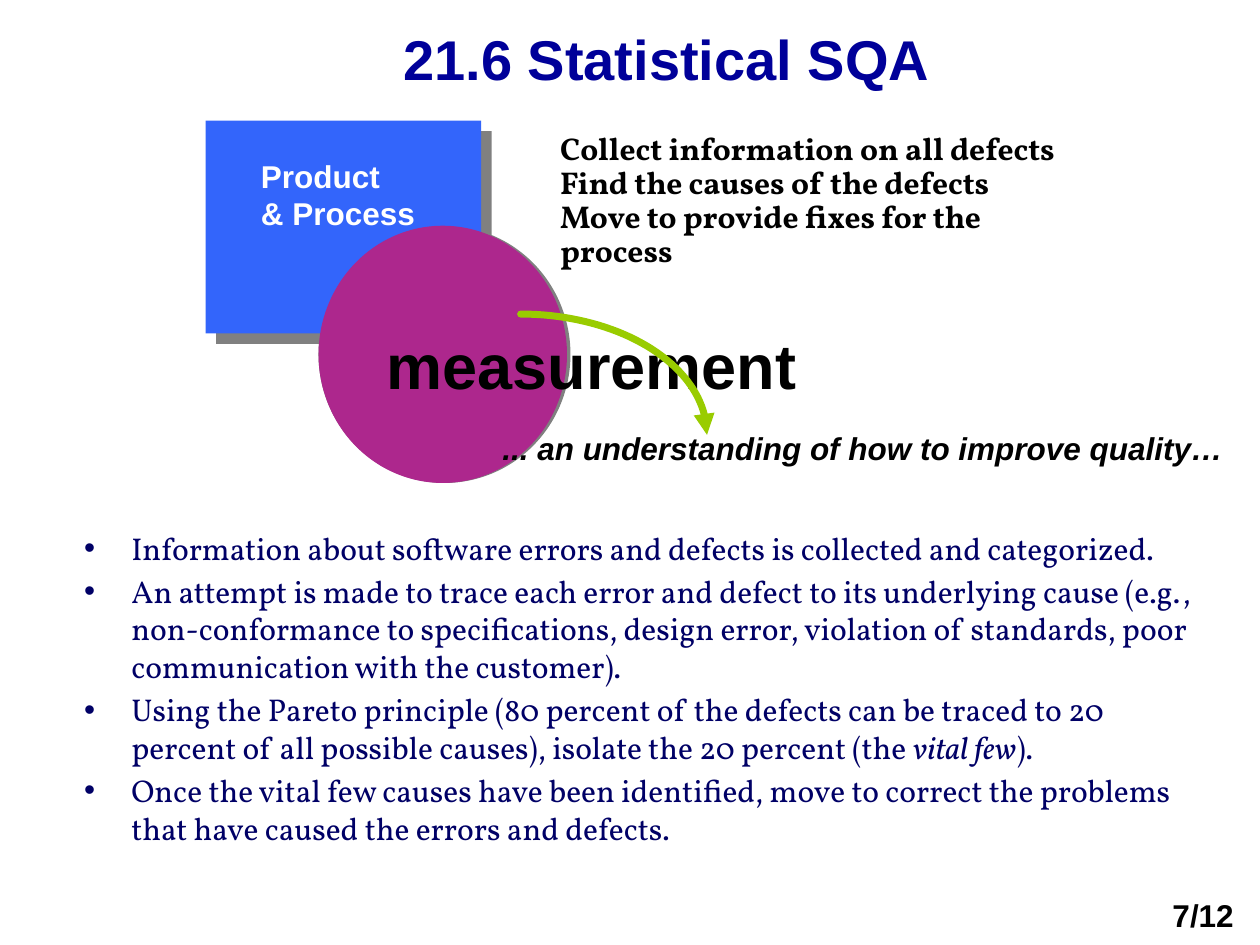
from math import cos, pi, sin

from lxml.etree import SubElement
from pptx import Presentation
from pptx.dml.color import RGBColor
from pptx.enum.shapes import MSO_SHAPE
from pptx.enum.text import MSO_ANCHOR, PP_ALIGN
from pptx.oxml.ns import qn
from pptx.util import Pt

WHITE = RGBColor(0xFF, 0xFF, 0xFF)
BLACK = RGBColor(0x00, 0x00, 0x00)
TITLE_BLUE = RGBColor(0x00, 0x00, 0x99)
BODY_NAVY = RGBColor(0x00, 0x00, 0x66)
BOX_BLUE = RGBColor(0x33, 0x65, 0xFB)
PURPLE = RGBColor(0xAD, 0x27, 0x8D)
GREEN = RGBColor(0x99, 0xCC, 0x00)
GREY = RGBColor(0x80, 0x80, 0x80)

SANS, SERIF = "Arial", "Vollkorn"

BULLETS = [
    ["Information about software errors and defects is collected and categorized."],
    ["An attempt is made to trace each error and defect to its underlying cause (e.g., "
     "non-conformance to specifications, design error, violation of standards, poor "
     "communication with the customer)."],
    ["Using the Pareto principle (80 percent of the defects can be traced to 20 percent "
     "of all possible causes), isolate the 20 percent (the ", "vital few", ")."],
    ["Once the vital few causes have been identified, move to correct the problems that "
     "have caused the errors and defects."],
]


def add_element(parent, tag, **attributes):
    return SubElement(parent, qn(tag), attributes)


class SlideBuilder:
    """Holds the text style and the current slide; lengths are in points."""

    font = {"name": SANS, "size": Pt(18), "bold": True, "italic": False}

    def __init__(self, presentation):
        self.slide = presentation.slides.add_slide(presentation.slide_layouts[5])

    def apply_font(self, paragraph, color, **changes):
        for name, value in {**self.font, **changes}.items():
            setattr(paragraph.font, name, value)
        paragraph.font.color.rgb = color

    def title(self, text, left, top, width, height):
        title = self.slide.shapes.title
        place = {"left": left, "top": top, "width": width, "height": height}
        for name, value in place.items():
            setattr(title, name, Pt(value))
        frame = title.text_frame
        frame.text = text
        margins = {"margin_left": 2, "margin_right": 2, "margin_top": 2, "margin_bottom": 2}
        for name, value in margins.items():
            setattr(frame, name, Pt(value))
        frame.vertical_anchor = MSO_ANCHOR.MIDDLE
        frame.paragraphs[0].alignment = PP_ALIGN.CENTER
        self.apply_font(frame.paragraphs[0], TITLE_BLUE, size=Pt(32))

    def shape(self, kind, left, top, width, height, color):
        shape = self.slide.shapes.add_shape(kind, Pt(left), Pt(top), Pt(width), Pt(height))
        shape.shadow.inherit = False
        shape.fill.solid()
        shape.fill.fore_color.rgb = color
        shape.line.fill.background()
        return shape

    def offset_shadow(self, shape, distance, color):
        effects = shape._element.spPr.find(qn("a:effectLst"))
        shadow = add_element(effects, "a:outerShdw", dist=str(Pt(distance)),
                             dir=str(45 * 60000), algn="ctr", rotWithShape="0")
        add_element(shadow, "a:srgbClr", val=str(color))

    def text(self, lines, left, top, width, height, color=BLACK, wrap=False,
             align=PP_ALIGN.LEFT, spacing=1.0, **font):
        box = self.slide.shapes.add_textbox(Pt(left), Pt(top), Pt(width), Pt(height))
        frame = box.text_frame
        frame.word_wrap = wrap
        frame.text = "\n".join(lines)
        for paragraph in frame.paragraphs:
            paragraph.alignment = align
            paragraph.line_spacing = spacing
            self.apply_font(paragraph, color, **font)

    def bullets(self, items, left, top, width, height, color):
        box = self.slide.shapes.add_textbox(Pt(left), Pt(top), Pt(width), Pt(height))
        frame = box.text_frame
        frame.word_wrap = True
        for index, parts in enumerate(items):
            paragraph = frame.add_paragraph() if index else frame.paragraphs[0]
            if index:
                paragraph.space_before = Pt(3)
            properties = paragraph._p.get_or_add_pPr()
            properties.set("marL", str(Pt(27)))
            properties.set("indent", str(Pt(-27)))
            bullet_color = add_element(properties, "a:buClr")
            add_element(bullet_color, "a:srgbClr", val=str(color))
            add_element(properties, "a:buFont", typeface=SANS)
            add_element(properties, "a:buChar", char="•")
            self.apply_font(paragraph, color, name=SERIF, bold=False)
            # Every second part of an item is emphasised
            for number, part in enumerate(parts):
                run = paragraph.add_run()
                run.text = part
                if number % 2:
                    run.font.italic = True

    def curved_arrow(self, left, top, width, height, color, weight, steps=40):
        angles = [pi / 2 * step / steps for step in range(steps + 1)]
        points = [(Pt(left + width * sin(angle)), Pt(top + height * (1 - cos(angle))))
                  for angle in angles]
        builder = self.slide.shapes.build_freeform(*points[0])
        builder.add_line_segments(points[1:], close=False)
        arrow = builder.convert_to_shape()
        arrow.shadow.inherit = False
        arrow.fill.background()
        arrow.line.color.rgb = color
        arrow.line.width = Pt(weight)
        line = arrow.line._get_or_add_ln()
        line.set("cap", "rnd")
        add_element(line, "a:round")
        add_element(line, "a:tailEnd", type="triangle")


def main():
    presentation = Presentation()
    presentation.slide_width, presentation.slide_height = Pt(720), Pt(540)
    builder = SlideBuilder(presentation)

    builder.title("21.6 Statistical SQA", 224, 12, 314, 42.5)

    # Product box and measurement circle
    builder.shape(MSO_SHAPE.OVAL, 182, 129, 144, 147, GREY)
    product = builder.shape(MSO_SHAPE.RECTANGLE, 117.5, 69, 157.5, 121.5, BOX_BLUE)
    builder.offset_shadow(product, 8.5, GREY)
    builder.text(["Product", "& Process"], 142, 86, 106, 50.5, color=WHITE)
    builder.shape(MSO_SHAPE.OVAL, 182, 129, 142, 147, PURPLE)
    builder.text(["measurement"], 214, 183, 249, 50.5, size=Pt(36))

    # Arrow to the outcome
    builder.text(["... an understanding of how to improve quality…"],
                 280, 241.5, 432, 29, italic=True)
    builder.curved_arrow(297.5, 179.5, 106.5, 69, GREEN, 4)

    # Steps
    builder.text(["Collect information on all defects", "Find the causes of the defects",
                  "Move to provide fixes for the process"],
                 313, 72.5, 316, 65.5, wrap=True, spacing=0.9, name=SERIF)

    # Explanation and page number
    builder.bullets(BULLETS, 41, 298.5, 648, 204.5, BODY_NAVY)
    builder.text(["7/12"], 655, 508.5, 65, 31.5, wrap=True, align=PP_ALIGN.CENTER)

    presentation.save("out.pptx")


if __name__ == "__main__":
    main()
